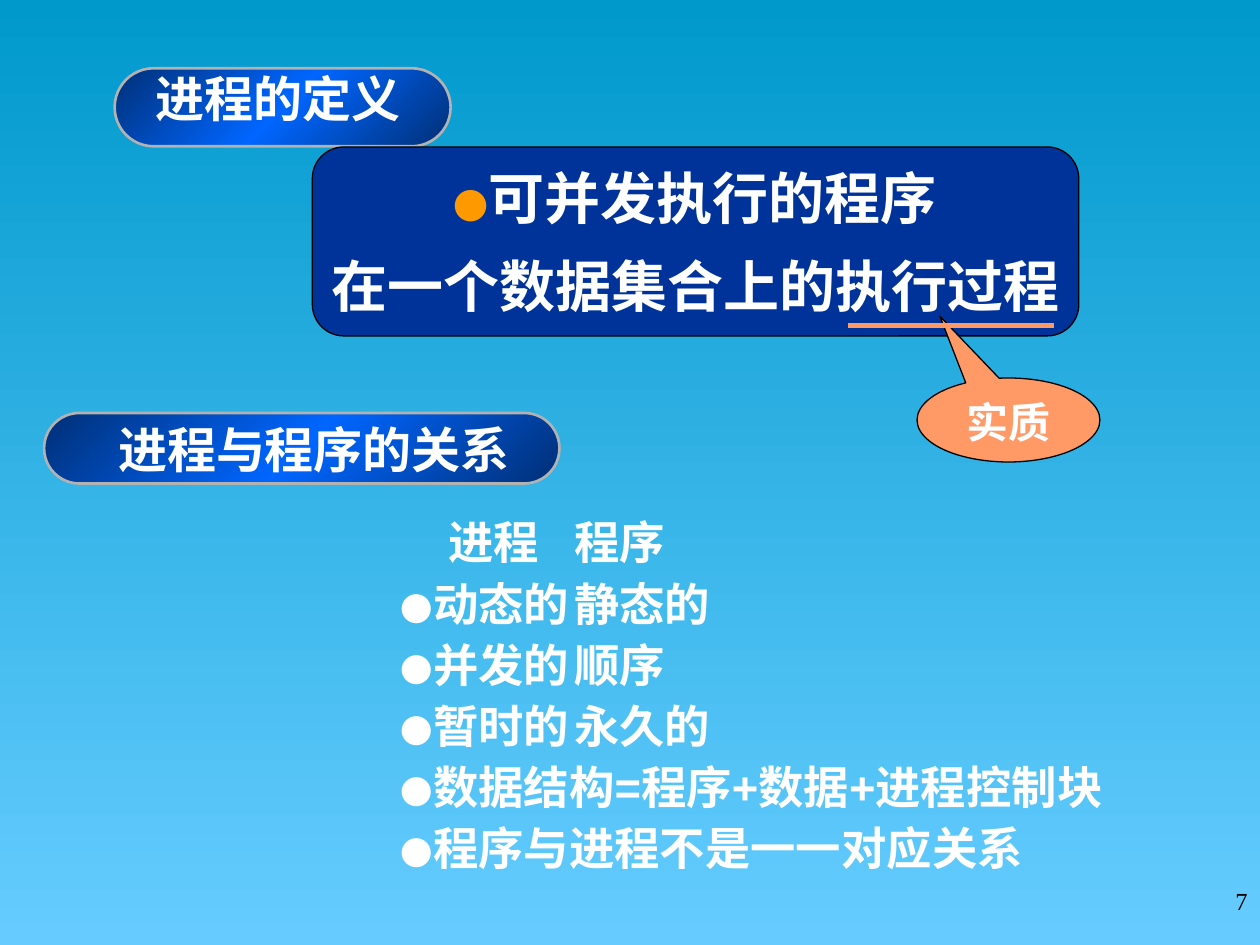
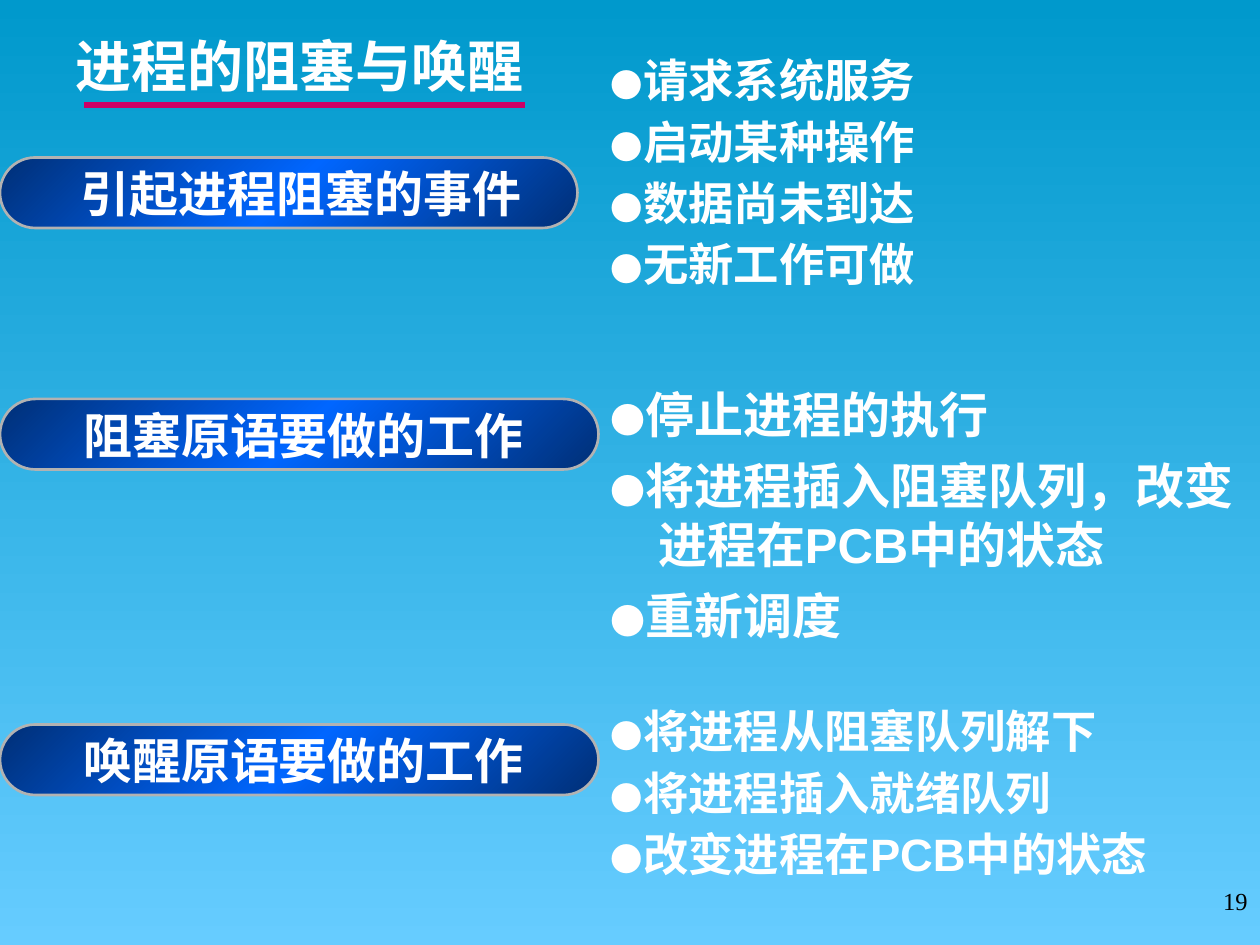
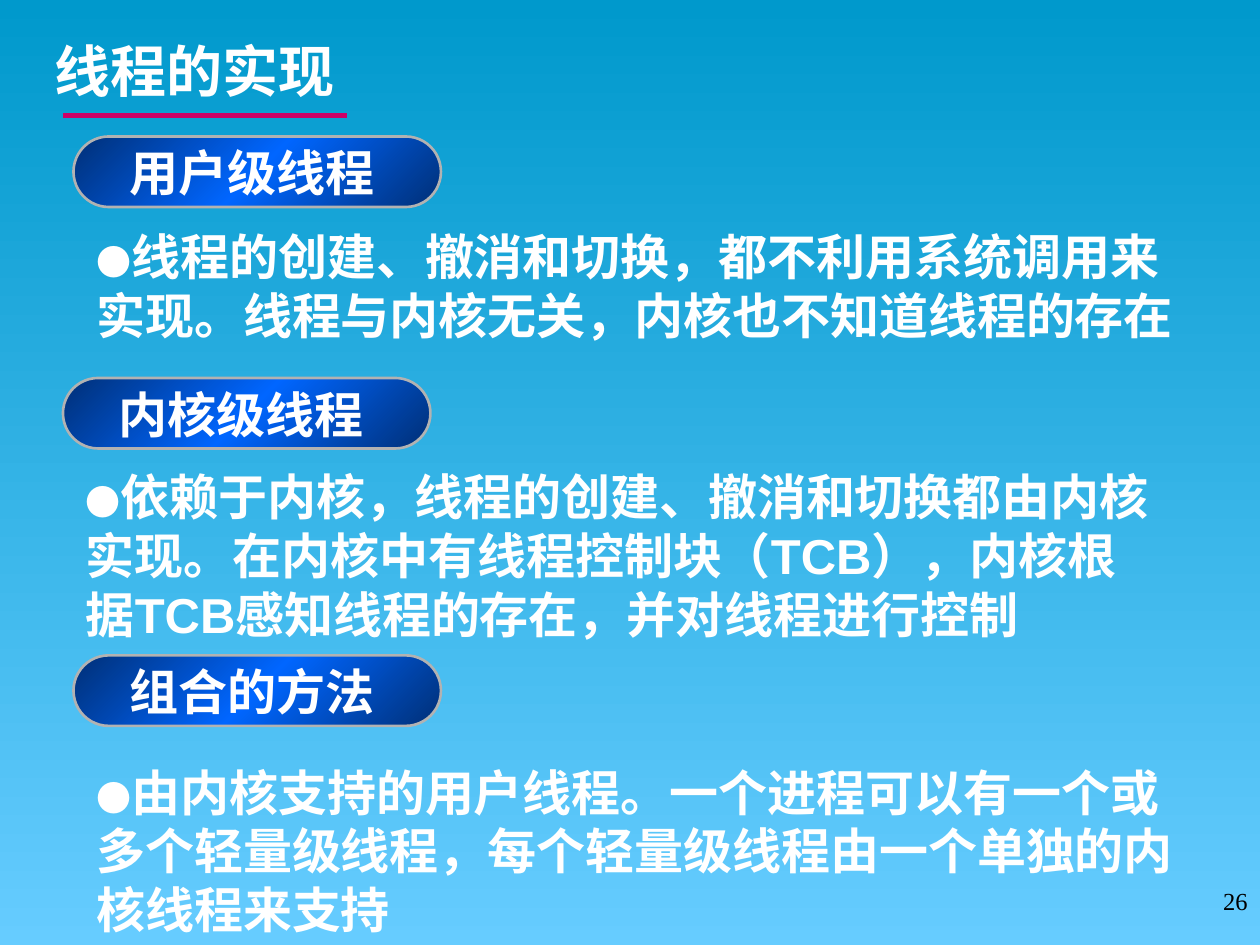
import copy

import lxml.etree
import pptx
import pptx.dml.color
import pptx.enum.shapes
import pptx.enum.text
import pptx.oxml.ns
import pptx.util

Pt = pptx.util.Pt
RGB = pptx.dml.color.RGBColor
SHAPE = pptx.enum.shapes.MSO_SHAPE
ANCHOR = pptx.enum.text.MSO_ANCHOR
ALIGN = pptx.enum.text.PP_ALIGN
qn = pptx.oxml.ns.qn

WHITE = RGB(0xFF, 0xFF, 0xFF)
BLACK = RGB(0x00, 0x00, 0x00)
SKY_TOP = RGB(0x00, 0x99, 0xCC)
SKY_BOTTOM = RGB(0x66, 0xCC, 0xFF)
PILL_EDGE = RGB(0x00, 0x2F, 0x76)
PILL_MIDDLE = RGB(0x00, 0x66, 0xFF)
PILL_LINE = RGB(0xB2, 0xB2, 0xB2)
NAVY = RGB(0x00, 0x33, 0x99)
ORANGE = RGB(0xFF, 0x99, 0x00)
SALMON = RGB(0xFF, 0x99, 0x66)
MAGENTA = RGB(0xCC, 0x00, 0x66)

BULLET = "●"
INDENT = Pt(27)
PILL_HEIGHT = 40.3
SERIF = "Times New Roman"


def font(name, size, color=WHITE, bold=True):
    return {"name": name, "size": Pt(size), "bold": bold, "color": color}


TITLE = font("Arial Narrow", 32)
SMALL_TITLE = font("Arial Narrow", 28)
LABEL = font("Cabin", 28)
SERIF_LABEL = font(SERIF, 28)
BODY = font("Arial", 28)
BODY_BULLET = font(SERIF, 20)
COMPACT = font("Arial", 25.9)
COMPACT_BULLET = font(SERIF, 18.5)
NUMBER = font(SERIF, 14, BLACK, False)

LIST_SPACING = {"space_before": Pt(7)}
COMPACT_SPACING = {"line_spacing": 0.9, "space_before": Pt(7)}


def fill_gradient(fill, colors, angle):
    """Spread the colours evenly; the angle is counter-clockwise."""
    fill.gradient()
    fill.gradient_angle = angle
    gs_lst = fill.gradient_stops[0]._gs.getparent()
    while len(gs_lst) < len(colors):
        gs_lst.append(copy.deepcopy(gs_lst[0]))
    for i, (stop, color) in enumerate(zip(fill.gradient_stops, colors)):
        stop.color.rgb = color
        stop.position = i / (len(colors) - 1)


class Deck:
    """Holds the shared style and the slide being built."""

    def __init__(self):
        self.prs = pptx.Presentation()
        self.prs.slide_width, self.prs.slide_height = Pt(720), Pt(540)
        fill_gradient(self.prs.slide_master.background.fill,
                      [SKY_TOP, SKY_BOTTOM], 270)

    def new_slide(self, number):
        self.s = self.prs.slides.add_slide(self.prs.slide_layouts[6])
        self.text(552, 502.5, 168, 37.5, [str(number)], NUMBER,
                  para={"alignment": ALIGN.RIGHT})

    def add_run(self, p, text, fmt):
        r = p.add_run()
        r.text = text
        for key, value in fmt.items():
            if key == "color":
                r.font.color.rgb = value
            else:
                setattr(r.font, key, value)

    def add_lines(self, tf, lines, fmt, bullet=None, para=None, hanging=False,
                  tab=None):
        """Fill a frame with one paragraph a line, bulleted if bullet is given.

        In a hanging list a line that starts with a tab is a heading without
        bullet; tab is the position of the second column.
        """
        for i, line in enumerate(lines):
            p = tf.paragraphs[0] if i == 0 else tf.add_paragraph()
            heading = line.startswith("\t")
            pPr = p._p.get_or_add_pPr()
            if hanging:
                pPr.set("marL", str(INDENT))
                pPr.set("indent", "0" if heading else str(-INDENT))
            if tab:
                tabs = lxml.etree.SubElement(pPr, qn("a:tabLst"))
                lxml.etree.SubElement(tabs, qn("a:tab"),
                                      pos=str(Pt(tab)), algn="l")
            for key, value in (para or {}).items():
                if i or key != "space_before":
                    setattr(p, key, value)
            if bullet and not heading:
                self.add_run(p, BULLET, bullet)
            self.add_run(p, line.lstrip("\t"), fmt)

    def text(self, left, top, width, height, lines, fmt, anchor=ANCHOR.TOP,
             **options):
        sp = self.s.shapes.add_textbox(Pt(left), Pt(top), Pt(width), Pt(height))
        tf = sp.text_frame
        tf.word_wrap = True
        tf.vertical_anchor = anchor
        self.add_lines(tf, lines, fmt, **options)

    def title(self, left, top, width, height, text, fmt=TITLE):
        self.text(left, top, width, height, [text], fmt, ANCHOR.MIDDLE,
                  para={"line_spacing": 0.7})

    def compact_list(self, left, top, width, height, lines, tab=None):
        self.text(left, top, width, height, lines, COMPACT, tab=tab,
                  bullet=COMPACT_BULLET, para=COMPACT_SPACING, hanging=True)

    def shape(self, kind, left, top, width, height, adjustments, fill,
              line=BLACK, line_width=0.75):
        """Add a preset shape; a list as fill makes a diagonal gradient."""
        sp = self.s.shapes.add_shape(kind, Pt(left), Pt(top), Pt(width),
                                     Pt(height))
        sp.shadow.inherit = False
        for i, value in enumerate(adjustments):
            sp.adjustments[i] = value
        if isinstance(fill, list):
            fill_gradient(sp.fill, fill, 315)
        else:
            sp.fill.solid()
            sp.fill.fore_color.rgb = fill
        sp.line.color.rgb = line
        sp.line.width = Pt(line_width)
        return sp

    def pill(self, left, top, width, height=PILL_HEIGHT):
        self.shape(SHAPE.ROUNDED_RECTANGLE, left, top, width, height, [0.5],
                   [PILL_EDGE, PILL_MIDDLE, PILL_EDGE], PILL_LINE, 1.5)

    def heading(self, left, top, width, text, text_left, text_width, fmt=LABEL):
        self.pill(left, top, width)
        self.text(text_left, top, text_width, 41, [text], fmt)

    def rule(self, left, right, y, color):
        line = self.s.shapes.add_connector(
            pptx.enum.shapes.MSO_CONNECTOR.STRAIGHT,
            Pt(left), Pt(y), Pt(right), Pt(y))
        line.line.color.rgb = color
        line.line.width = Pt(3)
        lxml.etree.SubElement(line._element.spPr, qn("a:effectLst"))


def build_definition(deck):
    deck.new_slide(7)
    deck.pill(65.5, 39, 192, 44.6)
    definition = deck.shape(SHAPE.ROUNDED_RECTANGLE, 178.5, 84, 438, 108,
                            [0.167], NAVY)
    tf = definition.text_frame
    tf.word_wrap = False
    tf.vertical_anchor = ANCHOR.MIDDLE
    strong = font("Arial", 32)
    deck.add_lines(tf, ["可并发执行的程序"], strong,
                   bullet=font(SERIF, 20, ORANGE, False),
                   para={"alignment": ALIGN.CENTER})
    p = tf.add_paragraph()
    p.alignment = ALIGN.CENTER
    p.space_before = Pt(12)
    deck.add_run(p, "在一个数据集合上的执行过程", strong)

    deck.heading(25.2, 236, 294.5, "进程与程序的关系", 60.5, 242.6)
    deck.compact_list(222, 294, 456, 246, [
        "\t进程\t程序",
        "动态的\t静态的",
        "并发的\t顺序",
        "暂时的\t永久的",
        "数据结构=程序+数据+进程控制块",
        "程序与进程不是一一对应关系",
    ], tab=216)
    essence = deck.shape(SHAPE.OVAL_CALLOUT, 524, 216, 104.5, 48,
                         [-0.375, -1.237], SALMON)
    essence.text_frame.vertical_anchor = ANCHOR.TOP
    deck.add_lines(essence.text_frame, ["实质"], font(SERIF, 24),
                   para={"alignment": ALIGN.CENTER})
    deck.rule(484.6, 602.4, 186, SALMON)
    deck.title(82, 43, 187, 34, "进程的定义", SMALL_TITLE)


def build_blocking(deck):
    deck.new_slide(19)
    deck.title(36, 18, 282, 48, "进程的阻塞与唤醒")
    deck.rule(48, 300, 60, MAGENTA)
    deck.compact_list(342, 30, 222, 156, [
        "请求系统服务", "启动某种操作", "数据尚未到达", "无新工作可做"])
    deck.heading(0, 90, 330, "引起进程阻塞的事件", 39, 272)
    for top, text in ((228, "阻塞原语要做的工作"), (414, "唤醒原语要做的工作")):
        deck.heading(0, top, 342, text, 40.5, 281.5, SERIF_LABEL)
    deck.text(342, 216, 378, 162, [
        "停止进程的执行",
        "将进程插入阻塞队列，改变进程在PCB中的状态",
        "重新调度",
    ], BODY, bullet=BODY_BULLET, para=LIST_SPACING, hanging=True)
    deck.compact_list(342, 402, 348, 120, [
        "将进程从阻塞队列解下", "将进程插入就绪队列", "改变进程在PCB中的状态"])


def build_threads(deck):
    deck.new_slide(26)
    deck.title(24, 0, 264, 90, "线程的实现")
    deck.rule(36, 198, 66, MAGENTA)
    sections = [
        (42, 78, "用户级线程", (48, 126, 636, 75),
         "线程的创建、撤消和切换，都不利用系统调用来实现。"
         "线程与内核无关，内核也不知道线程的存在"),
        (36, 216, "内核级线程", (42, 263, 630, 108),
         "依赖于内核，线程的创建、撤消和切换都由内核实现。"
         "在内核中有线程控制块（TCB），内核根据TCB感知线程的存在，"
         "并对线程进行控制"),
        (42, 374.5, "组合的方法", (48, 432, 630, 108),
         "由内核支持的用户线程。一个进程可以有一个或多个轻量级线程，"
         "每个轻量级线程由一个单独的内核线程来支持"),
    ]
    for left, top, name, box, explanation in sections:
        deck.heading(left, top, 210, name, left + 24.8, 173)
        deck.text(*box, [explanation], BODY, bullet=BODY_BULLET)


def main():
    deck = Deck()
    build_definition(deck)
    build_blocking(deck)
    build_threads(deck)
    deck.prs.save("out.pptx")


if __name__ == "__main__":
    main()
